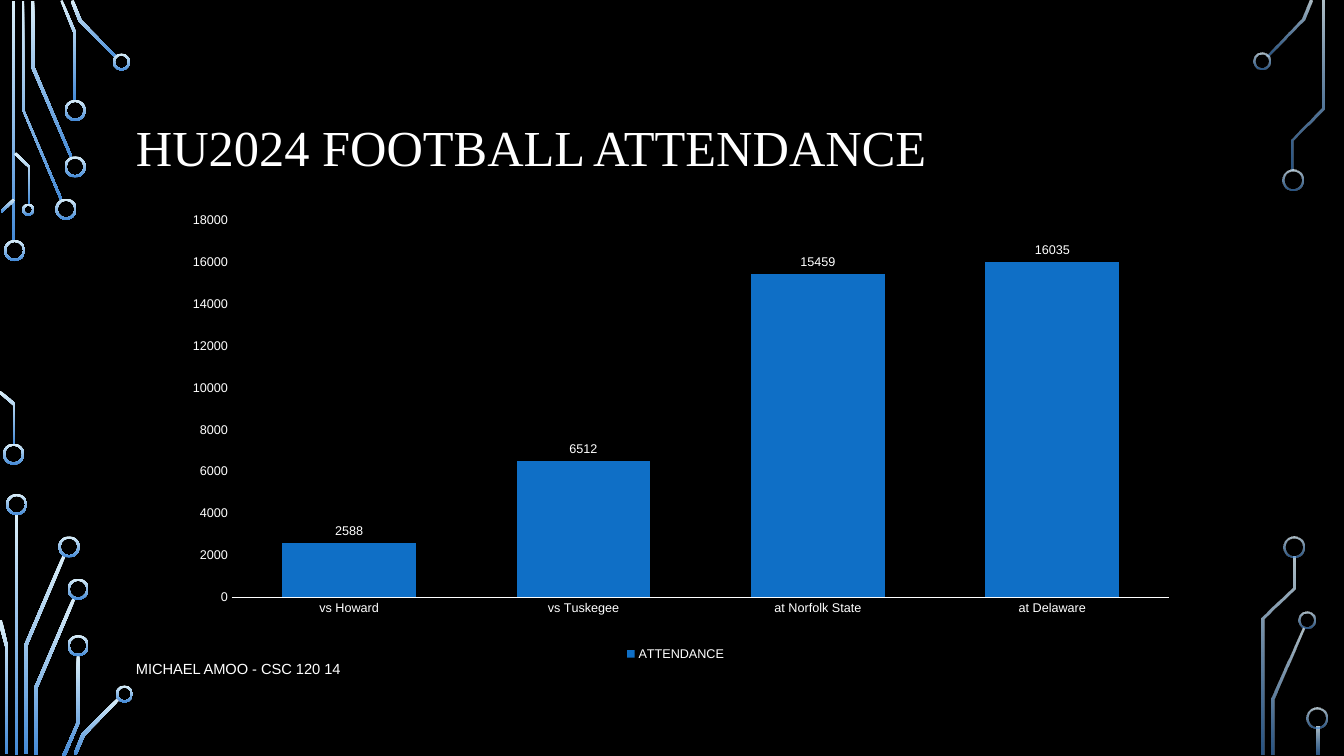
from lxml import etree
from pptx import Presentation
from pptx.chart.data import CategoryChartData
from pptx.dml.color import RGBColor
from pptx.enum.chart import XL_CHART_TYPE as ChartType, XL_LABEL_POSITION as LabelPosition
from pptx.enum.chart import XL_LEGEND_POSITION as LegendPosition, XL_TICK_MARK as TickMark
from pptx.enum.shapes import MSO_SHAPE as Preset
from pptx.enum.text import MSO_ANCHOR as Anchor
from pptx.oxml import parse_xml
from pptx.oxml.ns import nsdecls, qn
from pptx.util import Inches, Pt

CELL = Inches(0.01)
WHITE = "FFFFFF"
SOLID, FADED = (100, 100), (80, 60)


def color(code):
    return RGBColor.from_string(code)


def paint(shape, opacity):
    shape.shadow.inherit = False
    shape.line.fill.background()
    shape.fill.gradient()
    shape.fill.gradient_angle = 270
    for stop, code, share in zip(shape.fill.gradient_stops, ("DBEFF9", "448AD7"), opacity):
        stop.color.rgb = color(code)
    if opacity != SOLID:
        for tint, share in zip(shape.fill._xPr.iter(qn("a:srgbClr")), opacity):
            etree.SubElement(tint, qn("a:alpha")).set("val", str(share * 1000))


deck = Presentation()
deck.slide_width, deck.slide_height = Inches(13.33), Inches(7.5)
page = deck.slides.add_slide(deck.slide_layouts[6])
page.background.fill.solid()
page.background.fill.fore_color.rgb = color("000000")

bars = [
    (12, 1, 239, SOLID),
    (15, 510, 239, SOLID),
    (1306, 721, 28, FADED),
]
for left, top, height, opacity in bars:
    bar = page.shapes.add_shape(Preset.RECTANGLE, left * CELL, top * CELL, 3 * CELL, height * CELL)
    paint(bar, opacity)

traces = {
    SOLID: [
        [(60, 199), (22, 109), (22, 1), (24, 1), (24, 109), (62, 198)],
        [(70, 157), (31, 67), (31, 1), (34, 1), (34, 66), (72, 156)],
        [(76, 100), (73, 100), (73, 33), (60, 1), (62, 0), (76, 33)],
        [(115, 58), (78, 21), (70, 1), (73, 0), (81, 20), (116, 56)],
        [(2, 211), (1, 209), (13, 197), (15, 199)],
        [(15, 441), (13, 441), (13, 402), (0, 391), (0, 388), (1, 388), (15, 400)],
        [(30, 203), (28, 203), (28, 166), (14, 153), (16, 151), (30, 165)],
        [(27, 748), (24, 748), (24, 640), (62, 551), (65, 552), (27, 641)],
        [(8, 748), (5, 748), (5, 641), (0, 623), (0, 615), (2, 615), (8, 641)],
        [(37, 749), (34, 749), (34, 682), (72, 593), (75, 594), (37, 683)],
        [(65, 750), (62, 749), (76, 717), (76, 650), (79, 650), (79, 717)],
        [(76, 749), (73, 748), (81, 728), (117, 692), (119, 694), (84, 730)],
    ],
    FADED: [
        [(1258, 56), (1256, 55), (1291, 19), (1299, 0), (1302, 1), (1294, 20)],
        [(1264, 749), (1261, 749), (1261, 693), (1292, 623), (1294, 624), (1264, 694)],
        [(1283, 169), (1281, 169), (1281, 138), (1311, 107), (1311, 1), (1314, 1),
         (1314, 108), (1283, 139)],
        [(1254, 749), (1251, 749), (1251, 613), (1282, 583), (1282, 552), (1285, 552),
         (1285, 584), (1254, 614)],
    ],
}
for opacity, outlines in traces.items():
    for outline in outlines:
        builder = page.shapes.build_freeform(*outline[0], scale=CELL)
        builder.add_line_segments(outline[1:], close=True)
        paint(builder.convert_to_shape(), opacity)

rings = {
    SOLID: [
        (4, 238, 21), (3, 440, 21), (55, 197, 21), (64, 155, 21), (64, 99, 21),
        (112, 53, 17), (22, 202, 12), (6, 490, 21), (58, 532, 21), (67, 574, 21),
        (67, 630, 21), (115, 680, 17),
    ],
    FADED: [
        (1243, 52, 17), (1272, 168, 21), (1288, 607, 17), (1273, 532, 21), (1296, 702, 21),
    ],
}
for opacity, places in rings.items():
    for left, top, size in places:
        ring = page.shapes.add_shape(Preset.DONUT, left * CELL, top * CELL, size * CELL, size * CELL)
        ring.adjustments[0] = 2 / size
        paint(ring, opacity)

captions = [
    ("HU2024 FOOTBALL ATTENDANCE", (125, 68, 1083, 162), "Times New Roman", 36, 0.9),
    ("MICHAEL AMOO - CSC 120 14", (125, 643, 682, 40), "Arial", 10.5, 1),
]
for text, area, font_name, size, spacing in captions:
    box = page.shapes.add_textbox(*(side * CELL for side in area))
    frame = box.text_frame
    frame.word_wrap = True
    frame.vertical_anchor = Anchor.MIDDLE
    frame.text = text
    para = frame.paragraphs[0]
    para.line_spacing = spacing
    span = para.runs[0]
    span.font.name, span.font.size = font_name, Pt(size)
    span.font.color.rgb = color(WHITE)

attendance = CategoryChartData()
attendance.categories = ["vs Howard", "vs Tuskegee", "at Norfolk State", "at Delaware"]
attendance.add_series("ATTENDANCE", (2588, 6512, 15459, 16035))
chart = page.shapes.add_chart(
    ChartType.COLUMN_CLUSTERED, 170 * CELL, 210 * CELL, 1000 * CELL, 450 * CELL, attendance
).chart
chart.has_title = False
chart.has_legend = True
chart.legend.position = LegendPosition.BOTTOM
chart.legend.include_in_layout = False

plot = chart.plots[0]
plot.gap_width = 75
plot.vary_by_categories = False
series = plot.series[0]
series.format.fill.solid()
series.format.fill.fore_color.rgb = color("0F6FC6")
labels = series.data_labels
labels.show_value = True
labels.position = LabelPosition.OUTSIDE_END

games, crowd = chart.category_axis, chart.value_axis
for axis in (games, crowd):
    axis.has_major_gridlines = False
    axis.major_tick_mark = axis.minor_tick_mark = TickMark.NONE
games.format.line.color.rgb = color(WHITE)
games.format.line.width = Pt(0.75)
crowd.format.line.fill.background()
crowd.minimum_scale, crowd.maximum_scale, crowd.major_unit = 0, 18000, 2000

fonts = [(chart.font, 10)]
fonts += [(part.font, 9) for part in (chart.legend, labels)]
fonts += [(axis.tick_labels.font, 9) for axis in (games, crowd)]
for font, size in fonts:
    font.name, font.size = "Arial", Pt(size)
    font.color.rgb = color(WHITE)

settings = [("layoutTarget", "inner"), ("xMode", "edge"), ("yMode", "edge"),
            ("x", 0.06), ("y", 0.02), ("w", 0.93), ("h", 0.83)]
entries = "".join(f'<c:{name} val="{value}"/>' for name, value in settings)
layout = parse_xml(f'<c:layout {nsdecls("c")}><c:manualLayout>{entries}</c:manualLayout></c:layout>')
plot_area = chart._chartSpace.chart.plotArea
for old in plot_area.findall(qn("c:layout")):
    plot_area.remove(old)
plot_area.insert(0, layout)

deck.save("out.pptx")
